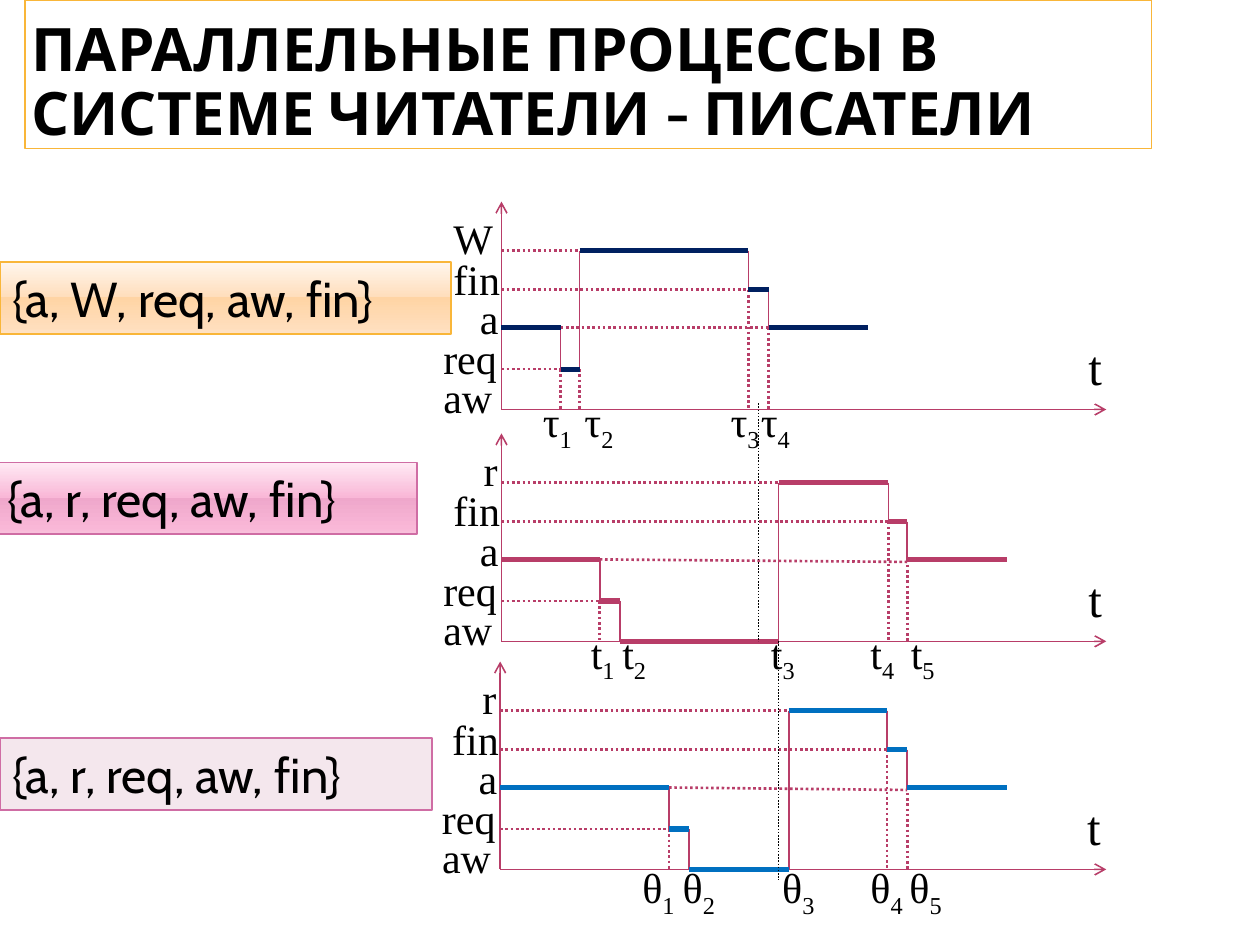
import pptx
import pptx.util
import pptx.dml.color
import pptx.enum.dml
import pptx.enum.shapes
import pptx.enum.text
import pptx.oxml
import pptx.oxml.ns
from lxml import etree

Inches, Pt = pptx.util.Inches, pptx.util.Pt
qn = pptx.oxml.ns.qn

COLORS = {
    "black": "000000", "axis": "B83D68", "writer": "002060",
    "reader1": "B83D68", "reader2": "0070C0",
    "gold": "F9B639", "pink": "CF6DA4", "pale": "F4E7ED",
}
ORANGE_STOPS = [(0, "FFF6ED"), (49, "FFDEBC"), (49, "FFD4A4"), (92, "FFDEBC"), (100, "FFE3C7")]
PINK_STOPS = [(0, "FFEAF4"), (49, "F9B7D7"), (49, "EFA7CB"), (92, "F9B7D7"), (100, "F8C4DD")]
SERIF, SANS = "Times New Roman", "Cabin"
THIN, DOTTED, THICK = 0.9, 1.5, 3

# Heights of the states below the top of a chart
TOP, FIN, ACTIVE, REQ, AXIS = 0.39, 0.7, 1.0, 1.33, 1.65
# State names: offset from the axis, offset from the chart top, width
STATE_LABELS = {
    "W": (-0.48, 0.04, 0.52), "r": (-0.24, 0.04, 0.31), "fin": (-0.48, 0.36, 0.58),
    "a": (-0.27, 0.67, 0.35), "req": (-0.56, 0.99, 0.63), "aw": (-0.56, 1.3, 0.59),
}


def rgb(name):
    return pptx.dml.color.RGBColor.from_string(COLORS[name])


def style_run(run, font, size, bold=False):
    run.font.name, run.font.size, run.font.bold = font, Pt(size), bold
    run.font.color.rgb = rgb("black")


def add_line(slide, start, end, color, width, dotted=False, arrow=None):
    line = slide.shapes.add_connector(
        pptx.enum.shapes.MSO_CONNECTOR.STRAIGHT, *map(Inches, (*start, *end)))
    line.line.color.rgb = rgb(color)
    line.line.width = Pt(width)
    if dotted:
        line.line.dash_style = pptx.enum.dml.MSO_LINE.ROUND_DOT
    if arrow:
        etree.SubElement(line.line._get_or_add_ln(), qn(f"a:{arrow}"), type="arrow")
    etree.SubElement(line._element.spPr, qn("a:effectLst"))


def add_label(slide, left, top, width, text, subscript="", size=24):
    label = slide.shapes.add_textbox(*map(Inches, (left, top, width, 0.57 if size > 24 else 0.5)))
    label.text_frame.word_wrap = False
    label.text_frame.auto_size = pptx.enum.text.MSO_AUTO_SIZE.SHAPE_TO_FIT_TEXT
    paragraph = label.text_frame.paragraphs[0]
    paragraph.text = text
    if subscript:
        paragraph.add_run().text = subscript
    for run in paragraph.runs:
        style_run(run, SERIF, size)
    if subscript:
        paragraph.runs[1].font._element.set("baseline", "-25000")


def add_box(slide, box, text, border, size, bold=False):
    panel = slide.shapes.add_shape(
        pptx.enum.shapes.MSO_SHAPE.RECTANGLE, *map(Inches, box))
    panel.shadow.inherit = False
    panel.fill.background()
    panel.line.color.rgb = rgb(border)
    panel.line.width = Pt(THIN)
    panel.text_frame.word_wrap = True
    paragraph = panel.text_frame.paragraphs[0]
    paragraph.text = text
    paragraph.alignment = pptx.enum.text.PP_ALIGN.LEFT
    style_run(paragraph.runs[0], SANS, size, bold)
    return panel


def add_title(slide, box):
    title = add_box(slide, box, "ПАРАЛЛЕЛЬНЫЕ ПРОЦЕССЫ В СИСТЕМЕ ЧИТАТЕЛИ - ПИСАТЕЛИ",
                    "gold", 34.2, bold=True)
    frame = title.text_frame
    frame.vertical_anchor = pptx.enum.text.MSO_ANCHOR.BOTTOM
    frame.margin_left = frame.margin_right = Inches(0.05)
    frame.margin_top = frame.margin_bottom = 0
    frame.paragraphs[0].line_spacing = 0.9


def add_state_set(slide, box, text, border, stops=None):
    panel = add_box(slide, box, text, border, 28)
    panel.text_frame.vertical_anchor = pptx.enum.text.MSO_ANCHOR.TOP
    if not stops:
        panel.fill.solid()
        panel.fill.fore_color.rgb = rgb("pale")
        return
    panel.fill.gradient()
    panel.fill.gradient_angle = 270
    stop_list = panel._element.spPr.find(qn("a:gradFill")).find(qn("a:gsLst"))
    for old_stop in list(stop_list):
        stop_list.remove(old_stop)
    for position, color in stops:
        stop = etree.SubElement(stop_list, qn("a:gs"), pos=str(position * 1000))
        etree.SubElement(stop, qn("a:srgbClr"), val=color)


def add_timing_chart(slide, left, top, color, busy, times, symbol, ticks, tick_top, tick_width):
    """Draw one process; times are request, wait (or None), start, finish, end."""
    request, wait, start, finish, end = times
    high, fin, active, req, axis = (top + level for level in (TOP, FIN, ACTIVE, REQ, AXIS))
    req_end = wait or start
    sag = 0.02 if wait else 0

    # Axes
    add_line(slide, (left, top), (left, axis), "axis", THIN, arrow="headEnd")
    add_line(slide, (left, axis), (8.78, axis), "axis", THIN, arrow="tailEnd")

    # Dotted guides to the axes
    guides = [((left, high), (start, high)), ((left, fin), (finish, fin)),
              ((left, req), (request, req)), ((request, active), (end, active + sag)),
              ((request, req), (request, axis)), ((finish, fin), (finish, axis)),
              ((end, active), (end, axis))]
    if not wait:
        guides.append(((start, req), (start, axis)))
    for guide in guides:
        add_line(slide, *guide, "axis", DOTTED, dotted=True)

    # State changes
    changes = [(request, active, req), (start, axis if wait else req, high),
               (finish, high, fin), (end, fin, active)]
    for moment, before, after in changes:
        add_line(slide, (moment, before), (moment, after), "axis", THIN)
    if wait:
        add_line(slide, (wait, req), (wait, axis), "axis", DOTTED)

    # Time spent in each state
    stays = [(left, request, active), (request, req_end, req), (start, finish, high),
             (finish, end, fin), (end, end + 0.79, active)]
    if wait:
        stays.append((wait, start, axis))
    for begin, finish_at, level in stays:
        add_line(slide, (begin, level), (finish_at, level), color, THICK)

    # State names, time axis name and moments
    for state in (busy, "fin", "a", "req", "aw"):
        dx, dy, width = STATE_LABELS[state]
        add_label(slide, left + dx, top + dy, width, state)
    add_label(slide, left + 4.56, top + 1.02, 0.31, "t", size=28)
    for number, tick in enumerate(ticks, 1):
        add_label(slide, tick, tick_top, tick_width, symbol, str(number))


def main():
    deck = pptx.Presentation()
    deck.slide_width, deck.slide_height = Inches(10), Inches(7.5)
    slide = deck.slides.add_slide(deck.slide_layouts[6])

    add_title(slide, (0.2, 0, 8.94, 1.18))

    # Writer, first reader, second reader
    add_timing_chart(slide, 3.98, 1.6, "writer", "W", (4.45, None, 4.6, 5.94, 6.1),
                     "τ", (4.21, 4.54, 5.7, 5.94), 3.09, 0.46)
    add_timing_chart(slide, 3.98, 3.44, "reader1", "r", (4.76, 4.92, 6.18, 7.05, 7.2),
                     "t", (4.59, 4.84, 6.02, 6.81, 7.13), 4.93, 0.41)
    add_timing_chart(slide, 3.97, 5.25, "reader2", "r", (5.31, 5.47, 6.26, 7.04, 7.2),
                     "θ", (5, 5.32, 6.11, 6.81, 7.12), 6.79, 0.46)

    # Links between the charts
    for x, upper, lower in ((6.02, 3.2, 5.09), (6.18, 5.09, 6.98)):
        add_line(slide, (x, upper), (x, lower), "black", THIN, dotted=True)

    # State sets of the processes
    add_state_set(slide, (0, 2.08, 3.58, 0.57), "{a, W, req, aw, fin}", "gold", ORANGE_STOPS)
    add_state_set(slide, (-0.04, 3.67, 3.35, 0.57), "{a, r, req, aw, fin}", "pink", PINK_STOPS)
    add_state_set(slide, (0, 5.86, 3.43, 0.57), "{a, r, req, aw, fin}", "pink")

    deck.save("out.pptx")


if __name__ == "__main__":
    main()
